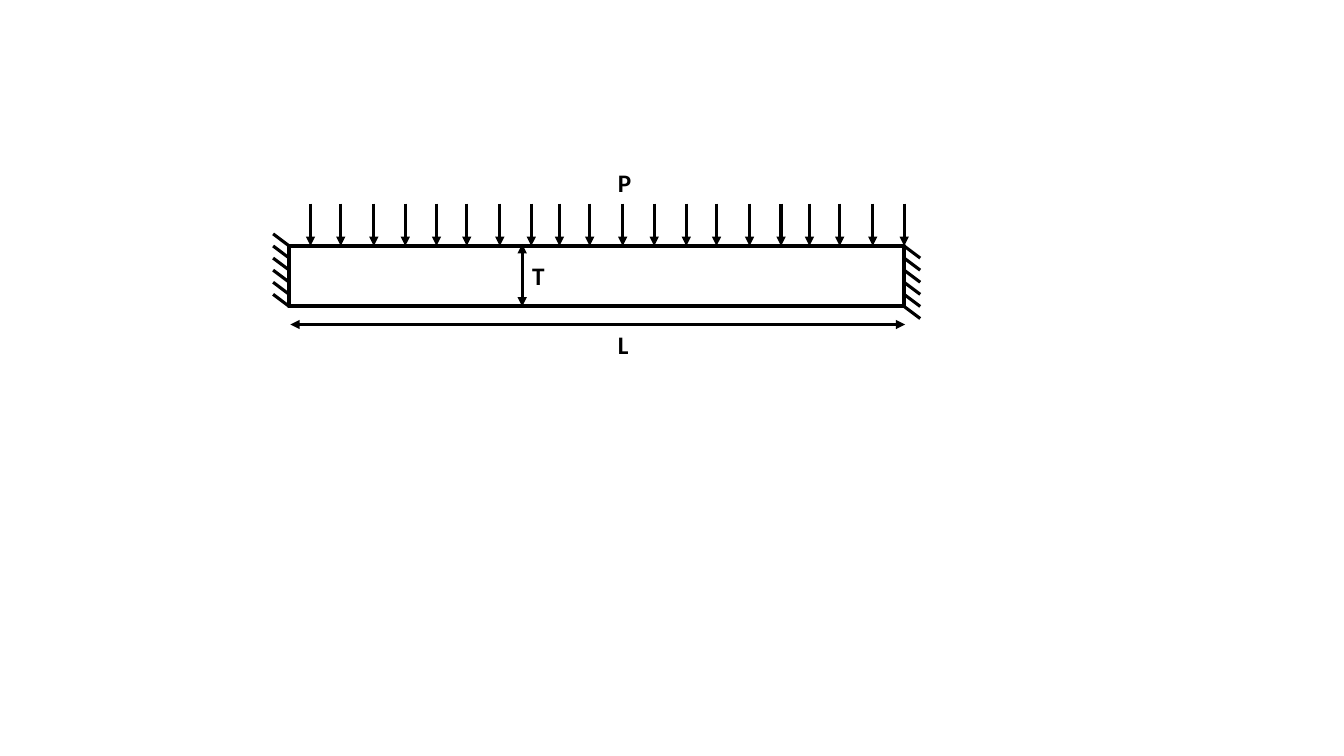
import lxml.etree
import pptx
import pptx.dml.color
import pptx.enum.shapes
import pptx.enum.text
import pptx.oxml.ns
import pptx.util

Pt = pptx.util.Pt
COLORS = {"ink": "000000"}
FONT = "Calibri"

BEAM_LEFT, BEAM_TOP, BEAM_WIDTH, BEAM_HEIGHT = 206.6, 175.7, 439.2, 43.2
BEAM_RIGHT = BEAM_LEFT + BEAM_WIDTH
BEAM_BOTTOM = BEAM_TOP + BEAM_HEIGHT

HATCH_COUNT = 6
HATCH_WIDTH = 11.5
HATCH_STEP = BEAM_HEIGHT / (HATCH_COUNT - 1)

LOAD_TOP = 145.4
LOAD_GROUP_STARTS = (221.8, 311.8, 399.6, 490.2, 578.2)
LOAD_GROUP_OFFSETS = (0, 21.6, 45.2, 67.7)

LENGTH_Y = 231.8
THICKNESS_X = 373
LABEL_LEFT = 434.2


def ink():
    return pptx.dml.color.RGBColor.from_string(COLORS["ink"])


def add_line(slide, start, end, arrowheads=()):
    """Draw a line; arrowheads names its ends: headEnd, tailEnd or both."""
    connector = slide.shapes.add_connector(
        pptx.enum.shapes.MSO_CONNECTOR.STRAIGHT,
        Pt(start[0]), Pt(start[1]), Pt(end[0]), Pt(end[1]))
    connector.line.color.rgb = ink()
    connector.line.width = Pt(2.25)
    properties = connector._element.spPr
    line = properties.find(pptx.oxml.ns.qn("a:ln"))
    for arrowhead in arrowheads:
        lxml.etree.SubElement(
            line, pptx.oxml.ns.qn("a:" + arrowhead), type="triangle")
    lxml.etree.SubElement(properties, pptx.oxml.ns.qn("a:effectLst"))


def add_beam(slide):
    beam = slide.shapes.add_shape(
        pptx.enum.shapes.MSO_SHAPE.RECTANGLE,
        Pt(BEAM_LEFT), Pt(BEAM_TOP), Pt(BEAM_WIDTH), Pt(BEAM_HEIGHT))
    beam.shadow.inherit = False
    beam.fill.background()
    beam.line.color.rgb = ink()
    beam.line.width = Pt(3)


def add_support(slide, left, top):
    """Hatch a fixed support with parallel strokes falling to the right."""
    for index in range(HATCH_COUNT):
        y = top + index * HATCH_STEP
        add_line(slide, (left + HATCH_WIDTH, y + HATCH_STEP), (left, y))


def add_load(slide):
    for start in LOAD_GROUP_STARTS:
        for offset in LOAD_GROUP_OFFSETS:
            x = start + offset
            add_line(slide, (x, LOAD_TOP), (x, BEAM_TOP), ("tailEnd",))


def add_label(slide, text, left, top):
    box = slide.shapes.add_textbox(Pt(left), Pt(top), Pt(41.8), Pt(29.1))
    frame = box.text_frame
    frame.word_wrap = True
    frame.auto_size = pptx.enum.text.MSO_AUTO_SIZE.SHAPE_TO_FIT_TEXT
    run = frame.paragraphs[0].add_run()
    run.text = text
    run.font.name = FONT
    run.font.size = Pt(18)
    run.font.bold = True
    run.font.color.rgb = ink()


def main():
    presentation = pptx.Presentation()
    presentation.slide_width = Pt(960)
    presentation.slide_height = Pt(540)
    slide = presentation.slides.add_slide(presentation.slide_layouts[6])

    add_beam(slide)
    add_support(slide, BEAM_LEFT - HATCH_WIDTH, BEAM_TOP - HATCH_STEP)
    add_support(slide, BEAM_RIGHT, BEAM_TOP)
    add_load(slide)
    add_label(slide, "P", LABEL_LEFT, 115.9)

    both_ends = ("headEnd", "tailEnd")
    add_line(slide, (BEAM_LEFT + 0.8, LENGTH_Y), (BEAM_RIGHT + 0.8, LENGTH_Y), both_ends)
    add_label(slide, "L", LABEL_LEFT, LENGTH_Y)
    add_line(slide, (THICKNESS_X, BEAM_TOP - 1.4), (THICKNESS_X, BEAM_BOTTOM), both_ends)
    add_label(slide, "T", THICKNESS_X, 182.2)

    presentation.save("out.pptx")


if __name__ == "__main__":
    main()
